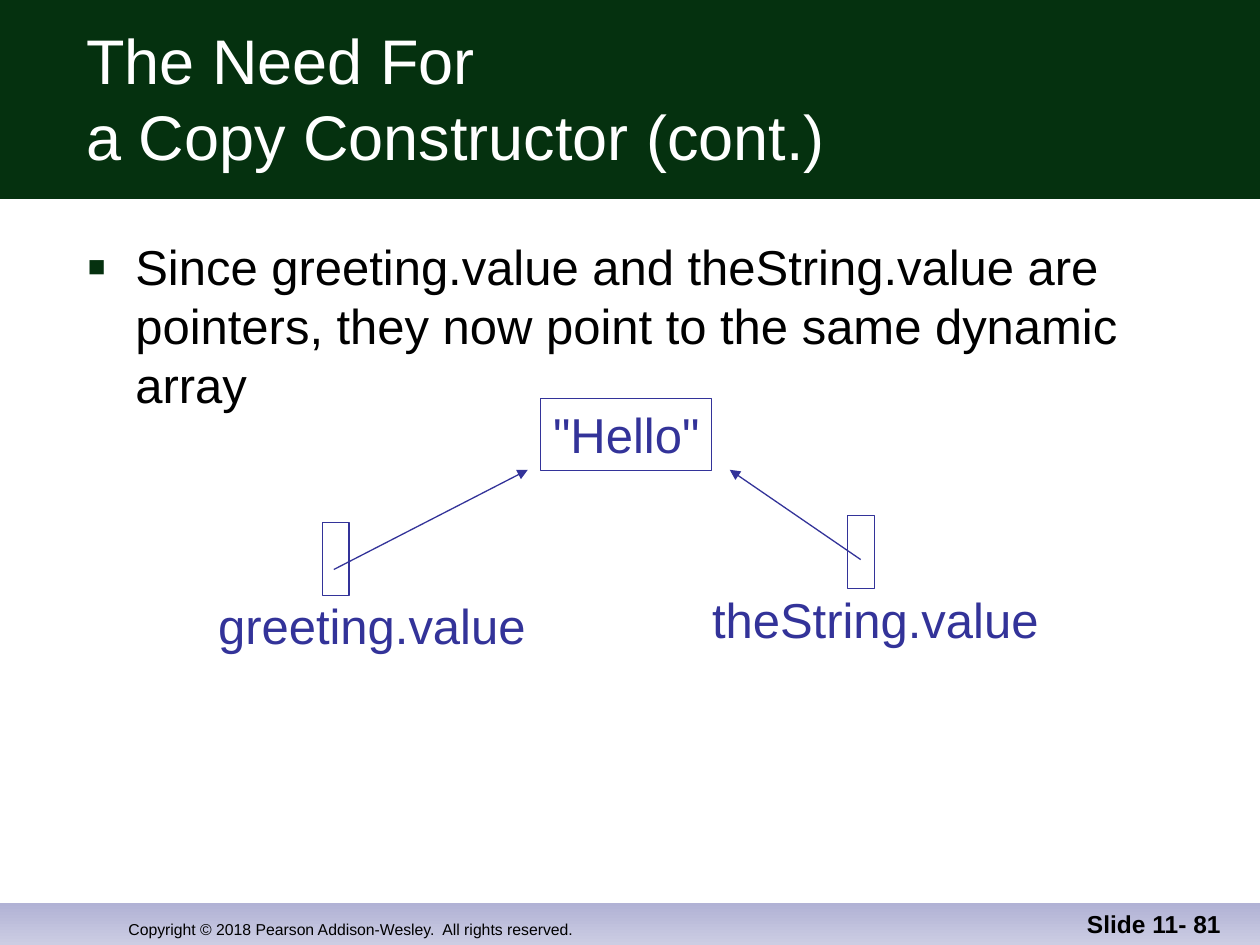
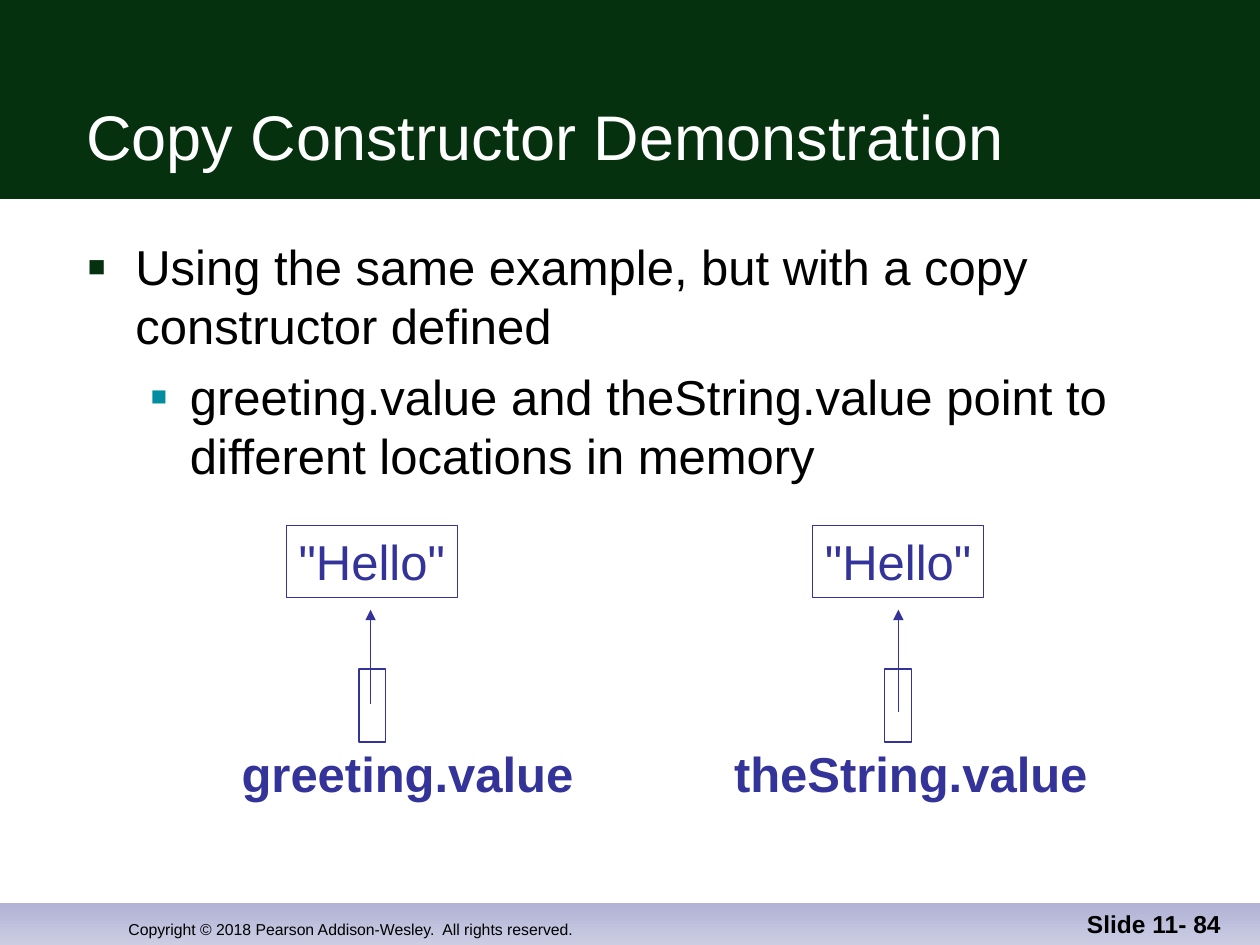
from lxml import etree
from pptx import Presentation
from pptx.dml.color import RGBColor
from pptx.enum.shapes import MSO_CONNECTOR, MSO_SHAPE
from pptx.enum.text import MSO_ANCHOR, MSO_AUTO_SIZE, PP_ALIGN
from pptx.oxml.ns import qn
from pptx.util import Cm, Pt

RECT, STRAIGHT = MSO_SHAPE.RECTANGLE, MSO_CONNECTOR.STRAIGHT
TOP, BOTTOM = MSO_ANCHOR.TOP, MSO_ANCHOR.BOTTOM
LEFT, CENTER, RIGHT = PP_ALIGN.LEFT, PP_ALIGN.CENTER, PP_ALIGN.RIGHT
FIT_TEXT = MSO_AUTO_SIZE.SHAPE_TO_FIT_TEXT

BLACK = RGBColor(0x00, 0x00, 0x00)
WHITE = RGBColor(0xFF, 0xFF, 0xFF)
GREEN = RGBColor(0x05, 0x31, 0x0F)
TEAL = RGBColor(0x02, 0x8D, 0xA0)
INDIGO = RGBColor(0x33, 0x33, 0x99)
LILAC = RGBColor(0xB1, 0xB2, 0xD5)
PALE_LILAC = RGBColor(0xCC, 0xCD, 0xE3)

WIDTH, HEIGHT = 25.4, 19.05
FOOTER_TOP = 18.21
FONT = "Arial"
LINE_WIDTH = Pt(0.75)
# Bullet levels: left margin and hang in cm, colour, size in percent
LEVELS = [(0.96, 0.96, GREEN, 60), (2.06, 0.79, TEAL, 55)]


class Deck:
    """Shared style, the presentation and its current slide."""

    def __init__(self):
        self.prs = Presentation()
        self.prs.slide_width, self.prs.slide_height = Cm(WIDTH), Cm(HEIGHT)
        self.s = None

    def new_slide(self, title, number):
        self.s = self.prs.slides.add_slide(self.prs.slide_layouts[6])
        # Bands
        footer = self.rect(0, FOOTER_TOP, WIDTH, HEIGHT - FOOTER_TOP)
        footer.fill.gradient()
        footer.fill.gradient_angle = 270
        for stop, color in zip(footer.fill.gradient_stops, (LILAC, PALE_LILAC)):
            stop.color.rgb = color
        header = self.rect(0, 0, WIDTH, 4.01)
        header.fill.solid()
        header.fill.fore_color.rgb = GREEN
        for band in (footer, header):
            band.line.fill.background()
        # Title and footer texts
        self.text(title, 1.49, 0.84, 23.06, 2.77, 36, WHITE, anchor=BOTTOM)
        self.text("Copyright © 2018 Pearson Addison-Wesley.  All rights reserved.",
                  2.34, 17.78, 12.5, 1.27, 9, anchor=BOTTOM)
        self.text(f"Slide 11- {number}", 19.58, 17.78, 5.28, 1.27, 14,
                  bold=True, align=RIGHT, anchor=BOTTOM)

    def rect(self, x, y, w, h):
        sp = self.s.shapes.add_shape(RECT, Cm(x), Cm(y), Cm(w), Cm(h))
        sp.shadow.inherit = False
        sp.fill.background()
        sp.line.color.rgb = INDIGO
        sp.line.width = LINE_WIDTH
        return sp

    def format(self, p, text, size, color=BLACK, bold=False, align=LEFT):
        p.text = text
        p.alignment = align
        style = {"name": FONT, "size": Pt(size), "bold": bold}
        for r in p.runs:
            for name, value in style.items():
                setattr(r.font, name, value)
            r.font.color.rgb = color

    def text(self, text, x, y, w, h, size, color=BLACK, bold=False,
             align=LEFT, anchor=TOP):
        sp = self.s.shapes.add_textbox(Cm(x), Cm(y), Cm(w), Cm(h))
        tf = sp.text_frame
        tf.word_wrap = True
        tf.vertical_anchor = anchor
        self.format(tf.paragraphs[0], text, size, color, bold, align)
        return tf

    def bullets(self, *items):
        sp = self.s.shapes.add_textbox(Cm(1.52), Cm(4.65), Cm(23.04), Cm(12.7))
        tf = sp.text_frame
        tf.word_wrap = True
        tf.margin_right = 0
        for i, (level, text) in enumerate(items):
            p = tf.add_paragraph() if i else tf.paragraphs[0]
            margin, hang, color, percent = LEVELS[level]
            p.level = level
            pPr = p._p.get_or_add_pPr()
            pPr.set("marL", str(Cm(margin)))
            pPr.set("indent", str(-Cm(hang)))
            clr = etree.SubElement(pPr, qn("a:buClr"))
            etree.SubElement(clr, qn("a:srgbClr"), val=str(color))
            etree.SubElement(pPr, qn("a:buSzPct"), val=str(percent * 1000))
            etree.SubElement(pPr, qn("a:buFont"), typeface=FONT)
            etree.SubElement(pPr, qn("a:buChar"), char="■")
            self.format(p, text, 28)
            if i:
                p.space_before = Pt(7)

    def label(self, text, x, y, w, bold=False):
        tf = self.text(text, x, y, w, 1.45, 28, INDIGO, bold, CENTER)
        tf.margin_left = tf.margin_right = 0
        tf.word_wrap = False
        tf.auto_size = FIT_TEXT

    def pointer(self, x, y):
        self.rect(x, y, 0.54, 1.47)

    def value(self, text, x, y):
        tf = self.rect(x, y, 3.45, 1.45).text_frame
        tf.margin_left = tf.margin_right = 0
        tf.word_wrap = False
        tf.auto_size = FIT_TEXT
        tf.vertical_anchor = TOP
        self.format(tf.paragraphs[0], text, 28, INDIGO, align=CENTER)

    def arrow(self, x1, y1, x2, y2):
        c = self.s.shapes.add_connector(STRAIGHT, Cm(x1), Cm(y1), Cm(x2), Cm(y2))
        c.line.color.rgb = INDIGO
        c.line.width = LINE_WIDTH
        etree.SubElement(c.line._get_or_add_ln(), qn("a:tailEnd"), type="triangle")
        etree.SubElement(c._element.spPr, qn("a:effectLst"))


def shared_array(deck):
    deck.new_slide("The Need For\na Copy Constructor (cont.)", 81)
    deck.bullets((0, "Since greeting.value and theString.value are\n"
                     "pointers, they now point to the same dynamic\narray"))
    # Two pointers to one array
    deck.label("greeting.value", 4.14, 11.89, 6.71)
    deck.label("theString.value", 14.1, 11.76, 7.09)
    deck.pointer(6.5, 10.54)
    deck.pointer(17.09, 10.39)
    deck.value('"Hello"', 10.9, 8.03)
    deck.arrow(6.73, 11.48, 10.64, 9.47)
    deck.arrow(17.35, 11.28, 14.71, 9.47)


def separate_arrays(deck):
    deck.new_slide("Copy Constructor Demonstration", 84)
    deck.bullets((0, "Using the same example, but with a copy\nconstructor defined"),
                 (1, "greeting.value and theString.value point to\n"
                     "different locations in memory"))
    # Each pointer has its own array: label, pointer, value and arrow places
    for name, label_x, label_w, pointer_x, value_x, arrow_x, arrow_y in (
            ("greeting.value", 4.62, 7.19, 7.24, 5.77, 7.47, 14.2),
            ("theString.value", 14.55, 7.62, 17.83, 16.38, 18.11, 14.35)):
        deck.label(name, label_x, 14.86, label_w, bold=True)
        deck.pointer(pointer_x, 13.49)
        deck.value('"Hello"', value_x, 10.59)
        deck.arrow(arrow_x, arrow_y, arrow_x, 12.29)


def main():
    deck = Deck()
    shared_array(deck)
    separate_arrays(deck)
    deck.prs.save("out.pptx")


if __name__ == "__main__":
    main()
